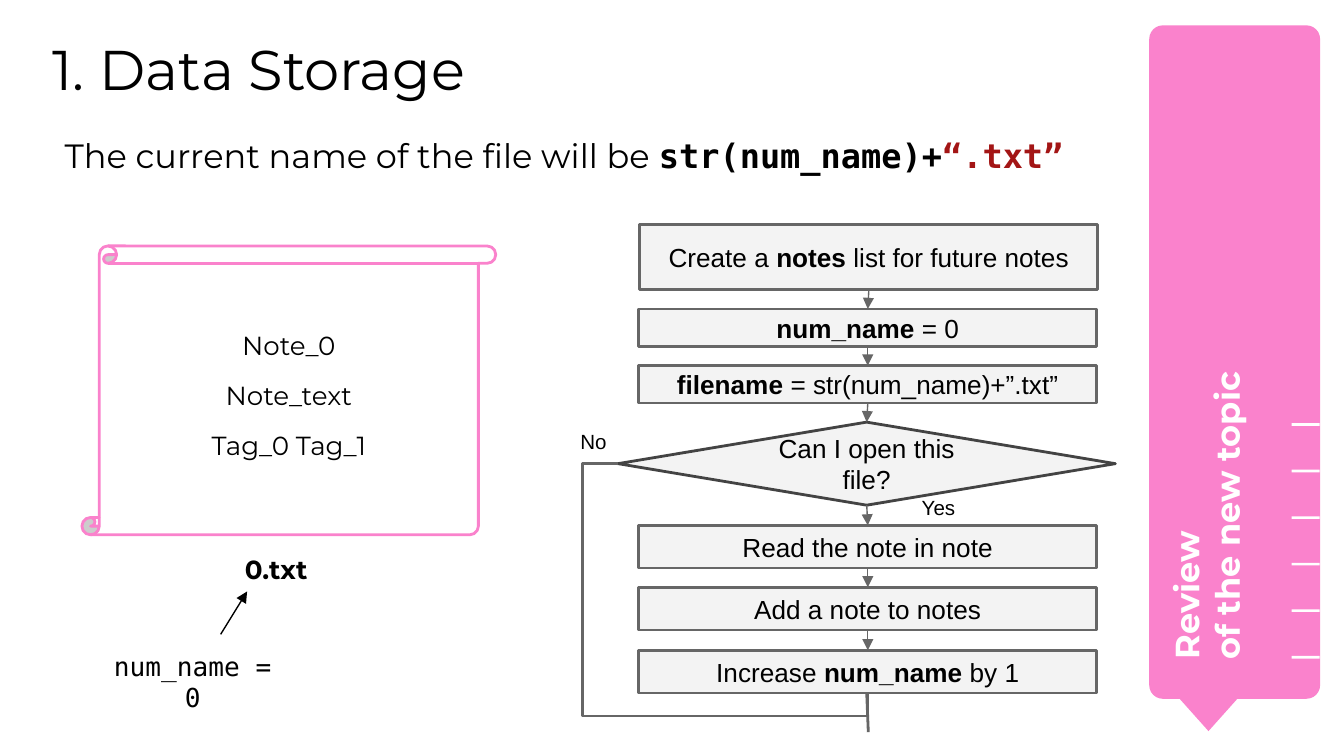
import pptx
import pptx.util
import pptx.dml.color
import pptx.enum.shapes
import pptx.enum.text
import pptx.oxml.ns
import lxml.etree

Cm = pptx.util.Cm
Pt = pptx.util.Pt
tint = pptx.dml.color.RGBColor.from_string
kinds = pptx.enum.shapes.MSO_SHAPE
ends = pptx.enum.shapes.MSO_CONNECTOR
qn = pptx.oxml.ns.qn
mid = pptx.enum.text.PP_ALIGN.CENTER

PINK, WHITE, BLACK = "FA82CC", "FFFFFF", "000000"
GREY, DARK, PALE, RED = "666666", "434343", "F3F3F3", "A31515"
MONO, SANS, MAIN = "DejaVu Sans Mono", "Arial", "Montserrat"


def block(kind, at, fill=None, line=None, text="", size=14, face=MAIN,
          ink=BLACK, bold=False, align=None, inset=0.25):
    """Add a shape, or a text box if kind is None; *stars* mark bold runs."""
    at = [Cm(n) for n in at]
    if kind is None:
        shape = slide.shapes.add_textbox(*at)
    else:
        shape = slide.shapes.add_shape(kind, *at)
        shape.shadow.inherit = False
        shape.fill.solid()
        shape.fill.fore_color.rgb = tint(fill)
        if line:
            shape.line.color.rgb = tint(line)
            shape.line.width = Pt(1.5)
        else:
            shape.line.fill.background()
    if not text:
        return shape
    frame = shape.text_frame
    frame.word_wrap = True
    frame.margin_left = frame.margin_right = Cm(inset)
    frame.margin_top = frame.margin_bottom = Cm(inset)
    if kind is not None:
        frame.vertical_anchor = pptx.enum.text.MSO_ANCHOR.MIDDLE
    for i, row in enumerate(text.split("\n")):
        para = frame.add_paragraph() if i else frame.paragraphs[0]
        para.alignment = align
        para.font.size = Pt(size)
        para.font.name = face
        para.font.color.rgb = tint(ink)
        para.font.bold = bold
        for j, part in enumerate(row.split("*")):
            if part:
                run = para.add_run()
                run.text = part
                if j % 2:
                    run.font.bold = True
    return shape


def link(kind, at, ink, width, arrow=False):
    line = slide.shapes.add_connector(kind, *[Cm(n) for n in at])
    line.line.color.rgb = tint(ink)
    line.line.width = Pt(width)
    if arrow:
        tail = lxml.etree.SubElement(line.line._get_or_add_ln(), qn("a:tailEnd"))
        tail.set("type", "triangle")
    lxml.etree.SubElement(line._element.spPr, qn("a:effectLst"))
    return line


deck = pptx.Presentation()
deck.slide_width = Cm(25.4)
deck.slide_height = Cm(14.29)
slide = deck.slides.add_slide(deck.slide_layouts[6])

# Side banner
card = block(kinds.ROUNDED_RECTANGLE, (21.72, 0.48, 3.23, 12.73), PINK)
card.adjustments[0] = 0.08
block(kinds.FLOWCHART_MERGE, (22, 12.88, 1.68, 0.94), PINK)
topic = block(None, (18.14, 7.37, 8.99, 1.7), text="Review", size=18,
              ink=WHITE, bold=True)
topic.rotation = 270
para = topic.text_frame.paragraphs[0]
para.add_line_break()
para.add_run().text = "of the new topic"
for i in range(6):
    block(kinds.RECTANGLE, (24.41, 8 + 0.88 * i, 0.53, 0.05), WHITE)

# Headings
block(None, (0.99, 0.66, 20.17, 1.7), text="1. Data Storage", size=30, inset=0)
rule = block(None, (0.97, 2.31, 19.79, 1.09), size=18,
             text="The current name of the file will be *str(num_name)+*")
para = rule.text_frame.paragraphs[0]
quote = para.add_run()
quote.text = "“.txt”"
quote.font.bold = True
quote.font.color.rgb = tint(RED)
for run in para.runs[1:]:
    run.font.name = MONO

# Note file
note = block(kinds.VERTICAL_SCROLL, (1.55, 4.65, 7.82, 5.46), WHITE, PINK,
             "Note_0\nNote_text\nTag_0 Tag_1", align=mid)
note.adjustments[0] = 0.06
paras = note.text_frame.paragraphs
for para in paras[1:]:
    para.space_before = Pt(10)
paras[-1].space_after = Pt(10)
block(None, (2.49, 10.21, 5.46, 1.19), text="0.txt", bold=True, align=mid)
block(None, (1.7, 12.04, 3.89, 1.09), text="num_name = 0", face=MONO, align=mid)
link(ends.STRAIGHT, (4.17, 11.99, 4.67, 11.18), BLACK, 0.75, True)

# Flowchart, from top to bottom
box, test = kinds.RECTANGLE, kinds.FLOWCHART_DECISION
steps = [
    (box, 12.09, 4.24, 8.66, 1.24, GREY, "Create a *notes* list for future notes"),
    (box, 12.07, 5.84, 8.66, 0.71, GREY, "*num_name* = 0"),
    (box, 12.07, 6.91, 8.66, 0.71, GREY, "*filename* = str(num_name)+”.txt”"),
    (test, 11.68, 7.98, 9.4, 1.57, DARK, "Can I open this file?"),
    (box, 12.07, 9.93, 8.66, 0.81, GREY, "Read the note in note"),
    (box, 12.07, 11.1, 8.66, 0.81, GREY, "Add a note to notes"),
    (box, 12.07, 12.29, 8.66, 0.81, GREY, "Increase *num_name* by 1"),
]
flow = [block(kind, at, PALE, edge, text, face=SANS, align=mid)
        for kind, *at, edge, text in steps]
for prev, step in zip(flow, flow[1:]):
    arrow = link(ends.STRAIGHT, (0, 0, 1, 1), GREY, 0.75, True)
    arrow.begin_connect(prev, 2)
    arrow.end_connect(step, 0)

# The "No" branch leaves the left corner and passes below the last step
skip = link(ends.ELBOW, (11.68, 8.76, 16.4, 13.1), GREY, 1.5)
skip.begin_connect(flow[3], 1)
skip.end_connect(flow[-1], 2)
geom = skip._element.spPr.find(qn("a:prstGeom"))
geom.set("prst", "bentConnector4")
guides = geom.find(qn("a:avLst"))
if guides is None:
    guides = lxml.etree.SubElement(geom, qn("a:avLst"))
for name, value in (("adj1", -14100), ("adj2", 110000)):
    guide = lxml.etree.SubElement(guides, qn("a:gd"))
    guide.set("name", name)
    guide.set("fmla", f"val {value}")
link(ends.STRAIGHT, (16.38, 13.1, 16.41, 13.84), GREY, 1.5)
for text, at in (("No", (10.72, 7.87, 1.7, 0.66)), ("Yes", (17.17, 9.12, 1.45, 0.61))):
    block(None, at, text=text, size=11, face=SANS)

deck.save("out.pptx")
